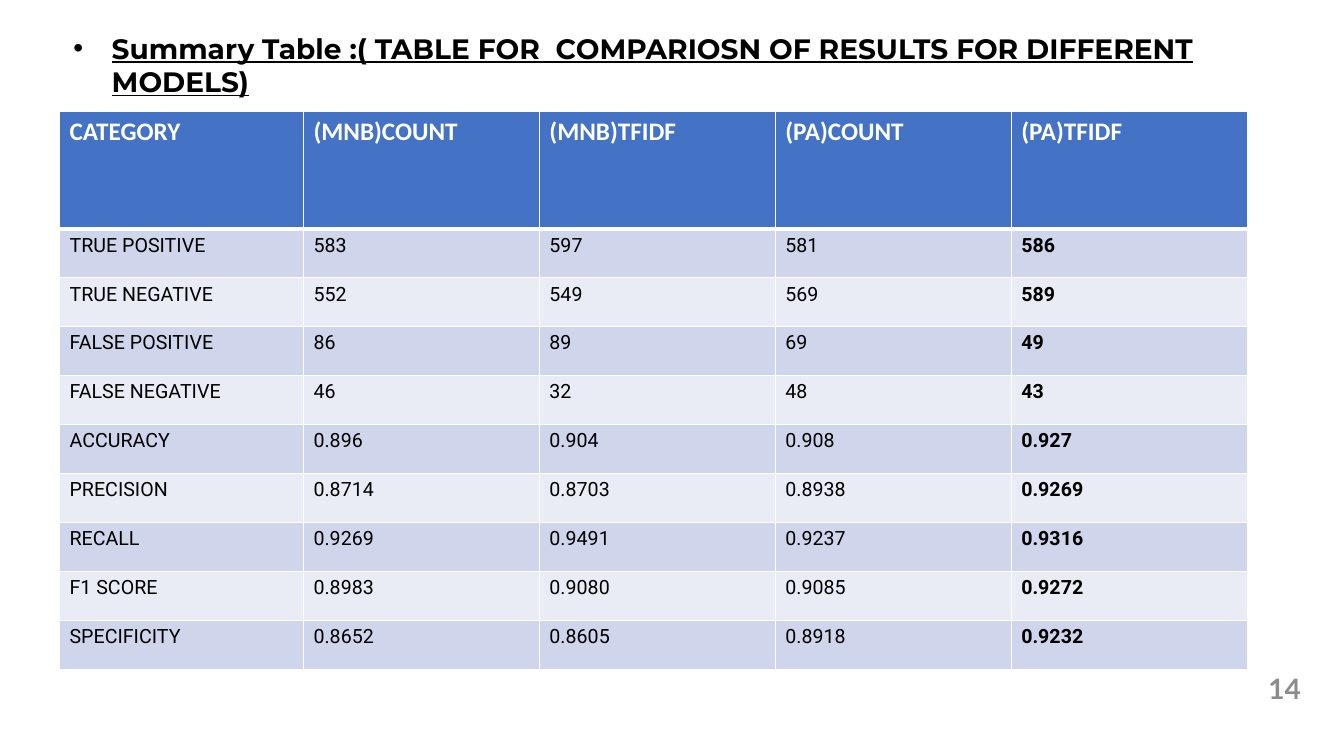
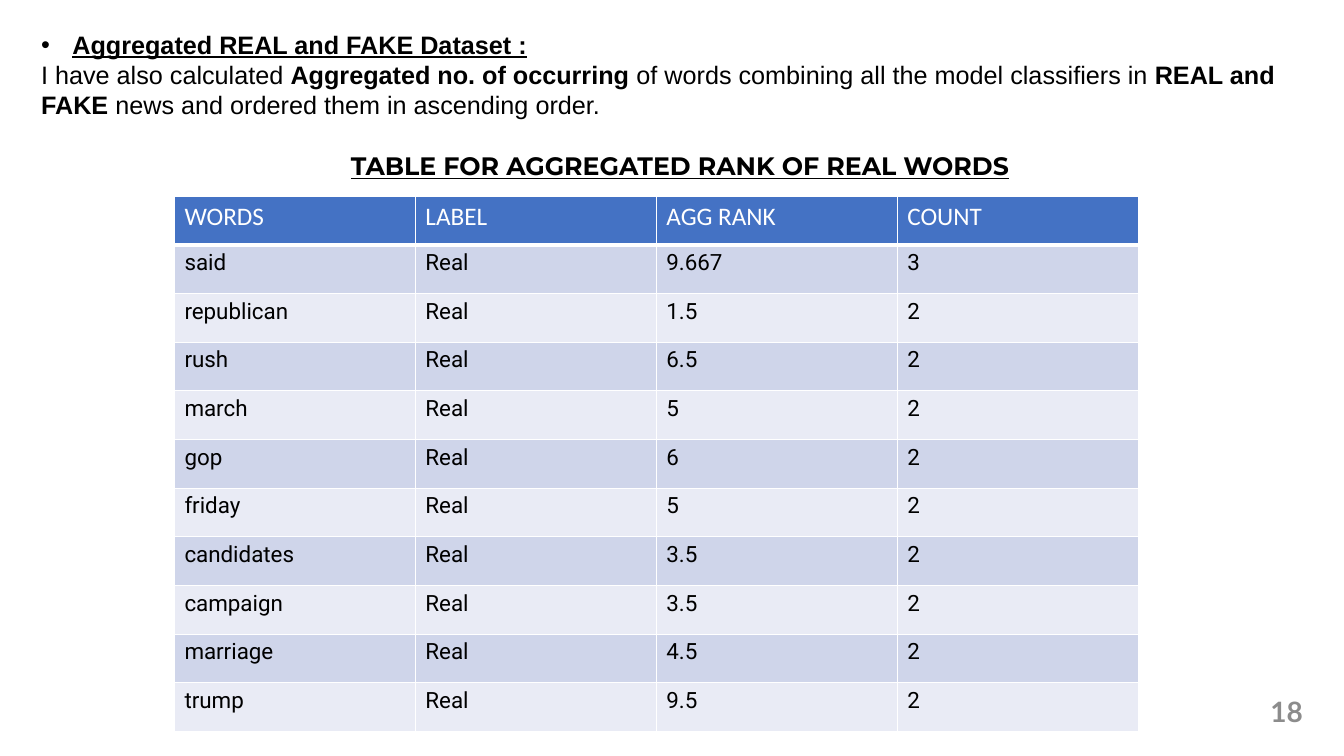
from dataclasses import dataclass

from lxml import etree
from pptx import Presentation
from pptx.dml.color import RGBColor as Color
from pptx.enum.text import MSO_ANCHOR as Anchor, PP_ALIGN as Align
from pptx.oxml.ns import qn
from pptx.util import Inches, Pt


@dataclass(frozen=True)
class Theme:
    header_fill: str = "4472C4"
    band_fills: tuple = ("CFD5EA", "E9EBF5")
    white: str = "FFFFFF"
    ink: str = "000000"
    page_grey: str = "8C8C8C"
    heading_font: str = "Montserrat"
    body_font: str = "Arial"
    header_font: str = "Calibri"
    cell_font: str = "Roboto"
    page_font: str = "Lato"
    large: int = 20
    medium: int = 18
    cell_large: int = 16
    cell_small: int = 14
    grid_line: int = 1
    header_line: int = 3


THEME = Theme()

MODEL_HEADER = ("CATEGORY", "(MNB)COUNT", "(MNB)TFIDF", "(PA)COUNT", "(PA)TFIDF")
MODEL_ROWS = (
    ("TRUE POSITIVE", "583", "597", "581", "586"),
    ("TRUE NEGATIVE", "552", "549", "569", "589"),
    ("FALSE POSITIVE", "86", "89", "69", "49"),
    ("FALSE NEGATIVE", "46", "32", "48", "43"),
    ("ACCURACY", "0.896", "0.904", "0.908", "0.927"),
    ("PRECISION", "0.8714", "0.8703", "0.8938", "0.9269"),
    ("RECALL", "0.9269", "0.9491", "0.9237", "0.9316"),
    ("F1 SCORE", "0.8983", "0.9080", "0.9085", "0.9272"),
    ("SPECIFICITY", "0.8652", "0.8605", "0.8918", "0.9232"),
)

WORD_HEADER = ("WORDS", "LABEL", "AGG RANK", "COUNT")
WORD_RANKS = (
    ("said", "9.667", "3"),
    ("republican", "1.5", "2"),
    ("rush", "6.5", "2"),
    ("march", "5", "2"),
    ("gop", "6", "2"),
    ("friday", "5", "2"),
    ("candidates", "3.5", "2"),
    ("campaign", "3.5", "2"),
    ("marriage", "4.5", "2"),
    ("trump", "9.5", "2"),
)
WORD_ROWS = [(word, "Real", rank, count) for word, rank, count in WORD_RANKS]


def add_run(paragraph, text, font, size, color=THEME.ink, bold=False, underline=False):
    run = paragraph.add_run()
    run.text = text
    run.font.name = font
    run.font.size = Pt(size)
    run.font.color.rgb = Color.from_string(color)
    run.font.bold = bold
    run.font.underline = underline


def add_text_frame(slide, box):
    frame = slide.shapes.add_textbox(*map(Inches, box)).text_frame
    frame.word_wrap = True
    return frame


def set_bullet(paragraph, indent, hanging):
    properties = paragraph._p.get_or_add_pPr()
    properties.set("marL", str(Inches(indent)))
    properties.set("indent", str(-Inches(hanging)))
    etree.SubElement(properties, qn("a:buFont"), typeface=THEME.body_font)
    etree.SubElement(properties, qn("a:buChar"), char="•")


def set_borders(cell, widths):
    properties = cell._tc.get_or_add_tcPr()
    for position, (side, width) in enumerate(widths.items()):
        line = etree.Element(qn(f"a:ln{side}"), w=str(Pt(width)))
        fill = etree.SubElement(line, qn("a:solidFill"))
        etree.SubElement(fill, qn("a:srgbClr"), val=THEME.white)
        properties.insert(position, line)


def style_cell(cell, text, fill, **text_style):
    cell.fill.solid()
    cell.fill.fore_color.rgb = Color.from_string(fill)
    add_run(cell.text_frame.paragraphs[0], text, **text_style)


def add_data_table(slide, box, header, rows, column_widths, header_height,
                   cell_size, bold_header=False, bold_column=None):
    shape = slide.shapes.add_table(len(rows) + 1, len(header), *map(Inches, box))
    table = shape.table
    for column, width in zip(table.columns, column_widths):
        column.width = Inches(width)
    row_height = (box[3] - header_height) / len(rows)
    for index, row in enumerate(table.rows):
        row.height = Inches(row_height if index else header_height)

    thin = THEME.grid_line
    for column, text in enumerate(header):
        cell = table.cell(0, column)
        style_cell(cell, text, THEME.header_fill, font=THEME.header_font,
                   size=THEME.medium, color=THEME.white, bold=bold_header)
        set_borders(cell, {"L": thin, "R": thin, "T": thin, "B": THEME.header_line})
    for index, values in enumerate(rows):
        for column, text in enumerate(values):
            cell = table.cell(index + 1, column)
            style_cell(cell, text, THEME.band_fills[index % 2], font=THEME.cell_font,
                       size=cell_size, bold=column == bold_column)
            set_borders(cell, {"L": thin, "R": thin, "B": thin})


def add_page_number(slide, left, top, number):
    frame = add_text_frame(slide, (left, top, 0.82, 0.4))
    frame.vertical_anchor = Anchor.MIDDLE
    paragraph = frame.paragraphs[0]
    paragraph.alignment = Align.RIGHT
    add_run(paragraph, str(number), THEME.page_font, THEME.large, THEME.page_grey, bold=True)


def add_summary_heading(slide, box):
    paragraph = add_text_frame(slide, box).paragraphs[0]
    set_bullet(paragraph, 0.42, 0.38)
    add_run(paragraph,
            "Summary Table :( TABLE FOR  COMPARIOSN OF RESULTS FOR DIFFERENT MODELS)",
            THEME.heading_font, THEME.large, bold=True, underline=True)


def add_dataset_intro(slide, box):
    frame = add_text_frame(slide, box)
    heading = frame.paragraphs[0]
    set_bullet(heading, 0.31, 0.31)
    add_run(heading, "Aggregated REAL and FAKE Dataset :",
            THEME.body_font, THEME.medium, bold=True, underline=True)

    description = frame.add_paragraph()
    for text, bold in (
        ("I have also calculated ", False),
        ("Aggregated no. of occurring ", True),
        ("of words combining all the model classifiers in ", False),
        ("REAL and FAKE ", True),
        ("news and ordered them in ascending order.", False),
    ):
        add_run(description, text, THEME.body_font, THEME.medium, bold=bold)

    caption = frame.add_paragraph()
    caption.alignment = Align.CENTER
    caption.space_before = Pt(22)
    add_run(caption, "TABLE FOR AGGREGATED RANK OF REAL WORDS",
            THEME.heading_font, THEME.medium, bold=True, underline=True)


def build_model_slide(slide):
    add_page_number(slide, 12.18, 6.63, 14)
    add_data_table(slide, (0.59, 1.11, 11.77, 5.53), MODEL_HEADER, MODEL_ROWS,
                   [2.42] + [2.34] * 4, 1.16, THEME.cell_small,
                   bold_header=True, bold_column=4)
    add_summary_heading(slide, (0.59, 0.26, 11.86, 0.77))


def build_word_slide(slide):
    add_page_number(slide, 12.2, 6.86, 18)
    add_dataset_intro(slide, (0.31, 0.24, 12.87, 1.65))
    add_data_table(slide, (1.73, 1.95, 9.56, 5.31), WORD_HEADER, WORD_ROWS,
                   [2.39] * 4, 0.48, THEME.cell_large)


def main():
    presentation = Presentation()
    presentation.slide_width = Inches(13.33)
    presentation.slide_height = Inches(7.5)
    blank = presentation.slide_layouts[6]
    for build in (build_model_slide, build_word_slide):
        build(presentation.slides.add_slide(blank))
    presentation.save("out.pptx")


if __name__ == "__main__":
    main()
